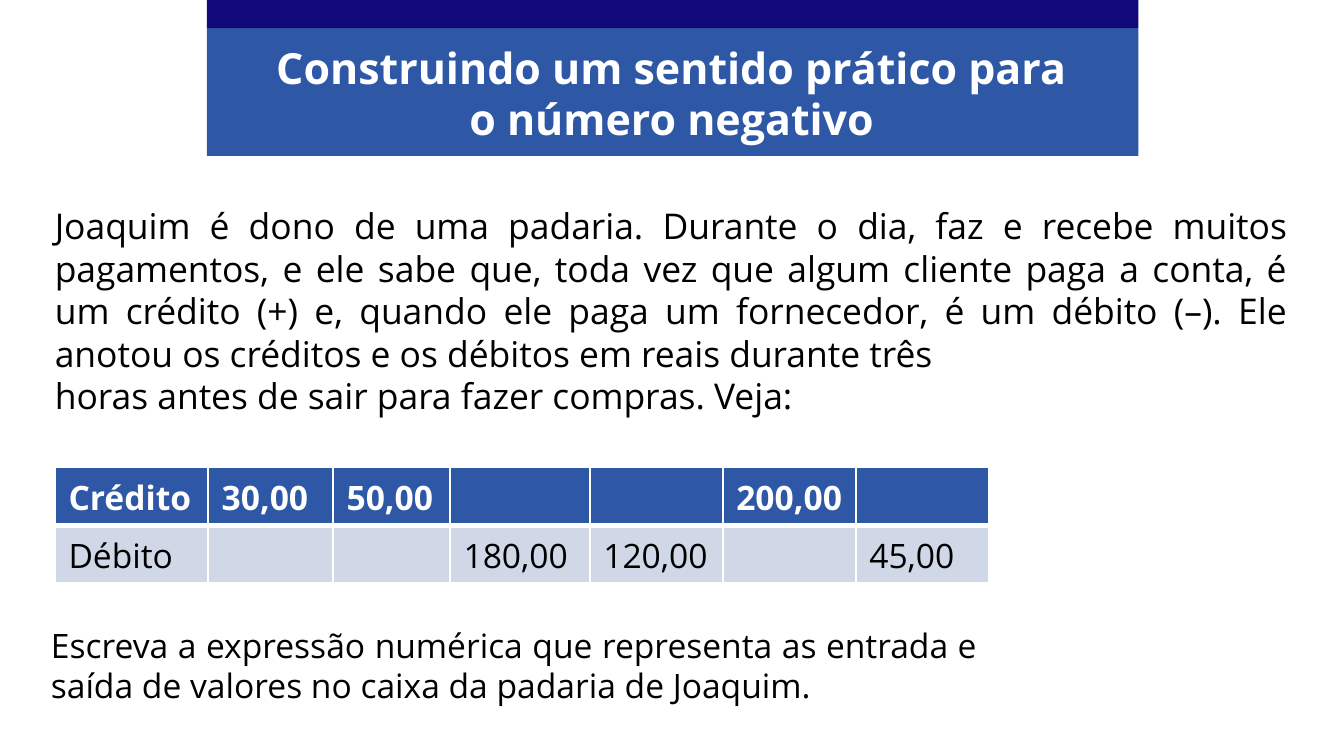
from lxml import etree
from pptx import Presentation
from pptx.dml.color import RGBColor
from pptx.enum.shapes import MSO_SHAPE
from pptx.enum.text import PP_ALIGN
from pptx.oxml.ns import qn
from pptx.util import Inches, Pt

RECTANGLE = MSO_SHAPE.RECTANGLE
CENTER, JUSTIFY = PP_ALIGN.CENTER, PP_ALIGN.JUSTIFY
FONT = "Open Sans"
BLUE, NAVY, PALE = "2E58A6", "110979", "D0D8E8"
WHITE, BLACK = "FFFFFF", "000000"


def color(value):
    return RGBColor.from_string(value)


def add_text(para, text, size, ink, bold=False):
    span = para.add_run()
    span.text = text
    span.font.name = FONT
    span.font.size = Pt(size)
    span.font.bold = bold
    span.font.color.rgb = color(ink)


deck = Presentation()
# A 16:9 page
deck.slide_width = Inches(10)
deck.slide_height = Inches(10 * 9 / 16)
page = deck.slides.add_slide(deck.slide_layouts[6])

# Story and task below the header, then the title over its bands
story = [
    "Joaquim é dono de uma padaria. Durante o dia, faz e recebe muitos pagamentos, "
    "e ele sabe que, toda vez que algum cliente paga a conta, é um crédito (+) e, "
    "quando ele paga um fornecedor, é um débito (–). Ele anotou os créditos e os "
    "débitos em reais durante três ",
    "horas antes de sair para fazer compras. Veja:",
]
title = ["Construindo um sentido prático para o número negativo"]
task = ["Escreva a expressão numérica que representa as entrada e saída de valores no "
        "caixa da padaria de Joaquim."]

# Header bands
for top, height, fill in [(0.21, 0.95, BLUE), (0, 0.21, NAVY)]:
    band = page.shapes.add_shape(RECTANGLE, Inches(1.54), Inches(top), Inches(6.93), Inches(height))
    band.shadow.inherit = False
    band.fill.solid()
    band.fill.fore_color.rgb = color(fill)
    band.line.fill.background()

# Place, paragraphs, size, ink, bold, alignment
texts = [
    ((0.31, 1.47, 9.37, 1.77), story, 19, BLACK, False, JUSTIFY),
    ((1.93, 0.26, 6.14, 0.88), title, 23, WHITE, True, CENTER),
    ((0.28, 4.6, 7.09, 0.96), task, 18, BLACK, False, JUSTIFY),
]
for place, paragraphs, size, ink, bold, align in texts:
    box = page.shapes.add_textbox(*(Inches(length) for length in place))
    frame = box.text_frame
    frame.word_wrap = True
    for index, text in enumerate(paragraphs):
        para = frame.add_paragraph() if index else frame.paragraphs[0]
        para.alignment = align
        add_text(para, text, size, ink, bold)

# Credit and debit table
entries = [
    ["Crédito", "30,00", "50,00", "", "", "200,00", ""],
    ["Débito", "", "", "180,00", "120,00", "", "45,00"],
]
widths = [1.14, 0.93, 0.87, 1.04, 0.99, 0.99, 0.99]
row_height = 0.43
row_styles = [(BLUE, WHITE, True), (PALE, BLACK, False)]
table = page.shapes.add_table(
    len(entries), len(widths), Inches(0.41), Inches(3.48),
    Inches(sum(widths)), Inches(row_height * len(entries))).table
for column, width in zip(table.columns, widths):
    column.width = Inches(width)

for row, (values, (fill, ink, bold)) in enumerate(zip(entries, row_styles)):
    table.rows[row].height = Inches(row_height)
    for col, value in enumerate(values):
        cell = table.cell(row, col)
        # Borders come before the fill in the cell properties
        properties = cell._tc.get_or_add_tcPr()
        for side in ("lnL", "lnR", "lnT", "lnB"):
            # The rule between the two rows is thicker
            thick = (row, side) in [(0, "lnB"), (1, "lnT")]
            border = etree.SubElement(properties, qn("a:" + side), w=str(Pt(3 if thick else 1)))
            paint = etree.SubElement(border, qn("a:solidFill"))
            etree.SubElement(paint, qn("a:srgbClr"), val=WHITE)
        cell.fill.solid()
        cell.fill.fore_color.rgb = color(fill)
        if value:
            add_text(cell.text_frame.paragraphs[0], value, 18, ink, bold)

deck.save("out.pptx")
